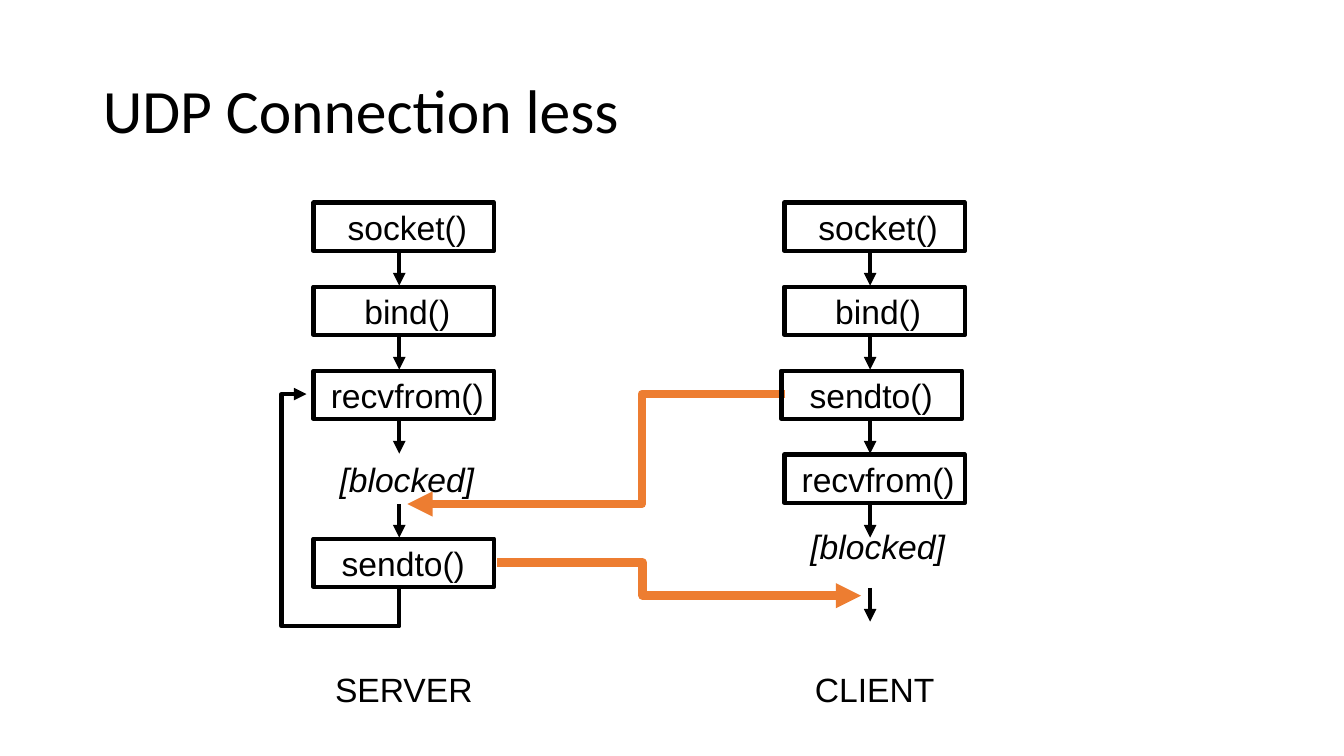
from lxml import etree
from pptx import Presentation
from pptx import util as u
from pptx.dml.color import RGBColor
from pptx.enum import shapes, text
from pptx.oxml import ns

BLACK = RGBColor(0x00, 0x00, 0x00)
ORANGE = RGBColor(0xED, 0x7D, 0x31)
ROW = 5 / 6
TOP = 2
STEP_HEIGHT = 0.5
SERVER_LEFT, CLIENT_LEFT = 3.04, 7.71
LANE_WIDTH = 2
ARROW_SHIFT = 0.92


def row_top(row):
    return TOP + row * ROW


def add_title(page, left, top, width, height):
    title = page.shapes.title
    title.left, title.top = u.Inches(left), u.Inches(top)
    title.width, title.height = u.Inches(width), u.Inches(height)
    title.text_frame.text = "UDP Connection less"
    title.text_frame.vertical_anchor = text.MSO_ANCHOR.MIDDLE
    para = title.text_frame.paragraphs[0]
    para.alignment = text.PP_ALIGN.LEFT
    para.line_spacing = 0.9
    font = para.runs[0].font
    font.name, font.size = "Calibri", u.Pt(44)
    font.color.rgb = BLACK


def add_label(page, wording, left, top, width, italic=False):
    label = page.shapes.add_textbox(
        u.Inches(left), u.Inches(top), u.Inches(width), u.Inches(STEP_HEIGHT))
    label.text_frame.word_wrap = True
    label.text_frame.text = wording
    para = label.text_frame.paragraphs[0]
    para.alignment = text.PP_ALIGN.CENTER
    font = para.runs[0].font
    font.name, font.size = "Arial", u.Pt(24)
    font.color.rgb = BLACK
    if italic:
        font.italic = True


def add_step(page, call, left, top, label_left, label_width):
    box = page.shapes.add_shape(
        shapes.MSO_SHAPE.RECTANGLE, u.Inches(left), u.Inches(top + 0.01),
        u.Inches(1.79), u.Inches(0.48))
    box.shadow.inherit = False
    box.fill.background()
    box.line.color.rgb = BLACK
    box.line.width = u.Pt(3)
    add_label(page, call, label_left, top, label_width)


def add_arrow(page, start, end, color=BLACK, width=3, preset=None, bends=(), turn=0):
    kind = shapes.MSO_CONNECTOR.ELBOW if preset else shapes.MSO_CONNECTOR.STRAIGHT
    arrow = page.shapes.add_connector(kind, *(u.Inches(n) for n in (*start, *end)))
    arrow.line.color.rgb = color
    arrow.line.width = u.Pt(width)
    properties = arrow._element.spPr
    etree.SubElement(arrow.line._get_or_add_ln(), ns.qn("a:tailEnd"), type="triangle")
    etree.SubElement(properties, ns.qn("a:effectLst"))
    if preset:
        geometry = properties.find(ns.qn("a:prstGeom"))
        geometry.set("prst", preset)
        guides = geometry.find(ns.qn("a:avLst"))
        for number, bend in enumerate(bends, 1):
            etree.SubElement(guides, ns.qn("a:gd"), name=f"adj{number}",
                             fmla=f"val {round(bend * 100000)}")
    if turn:
        properties.find(ns.qn("a:xfrm")).set("rot", str(turn * 60000))


def add_lane(page, left, name, calls, blocked_row, arrow_rows, sendto_shift):
    for row, call in calls.items():
        if call == "sendto()":
            box_left = left + 0.07 + sendto_shift
            add_step(page, call, box_left, row_top(row), box_left + 0.1, 1.58)
        else:
            add_step(page, call, left + 0.07, row_top(row), left, LANE_WIDTH)
    for row in arrow_rows:
        x = left + ARROW_SHIFT
        add_arrow(page, (x, row_top(row)), (x, row_top(row + 0.4)))
    add_label(page, "[blocked]", left + 0.08, row_top(blocked_row), 1.83, italic=True)
    add_label(page, name, left - 0.16, row_top(5.5), 2.25)


def add_messages(page, server_left, client_left):
    add_arrow(page, (client_left + 0.08, 3.91), (server_left + 1, row_top(3.6)),
              ORANGE, 6, "bentConnector3", (0.38,))
    add_arrow(page, (server_left + 1.89, 5.58), (client_left + 0.83, 5.91),
              ORANGE, 6, "bentConnector3", (0.4,))


def add_server_loop(page, left, top):
    add_arrow(page, (left + 1.42, top), (left - 0.5, top + 0.92),
              preset="bentConnector4", bends=(-0.2, 1.27), turn=90)


def main():
    deck = Presentation()
    deck.slide_width, deck.slide_height = u.Inches(13.33), u.Inches(7.5)
    page = deck.slides.add_slide(deck.slide_layouts[5])
    add_title(page, 0.92, 0.4, 11.5, 1.45)
    add_lane(page, SERVER_LEFT, "SERVER",
             {0: "socket()", 1: "bind()", 2: "recvfrom()", 4: "sendto()"},
             3, (0.6, 1.6, 2.6, 3.6), 0)
    add_server_loop(page, SERVER_LEFT, 4.41)
    add_messages(page, SERVER_LEFT, CLIENT_LEFT)
    add_lane(page, CLIENT_LEFT, "CLIENT",
             {0: "socket()", 1: "bind()", 2: "sendto()", 3: "recvfrom()"},
             3.8, (0.6, 1.6, 2.6, 3.6, 4.6), -0.03)
    deck.save("out.pptx")


if __name__ == "__main__":
    main()
